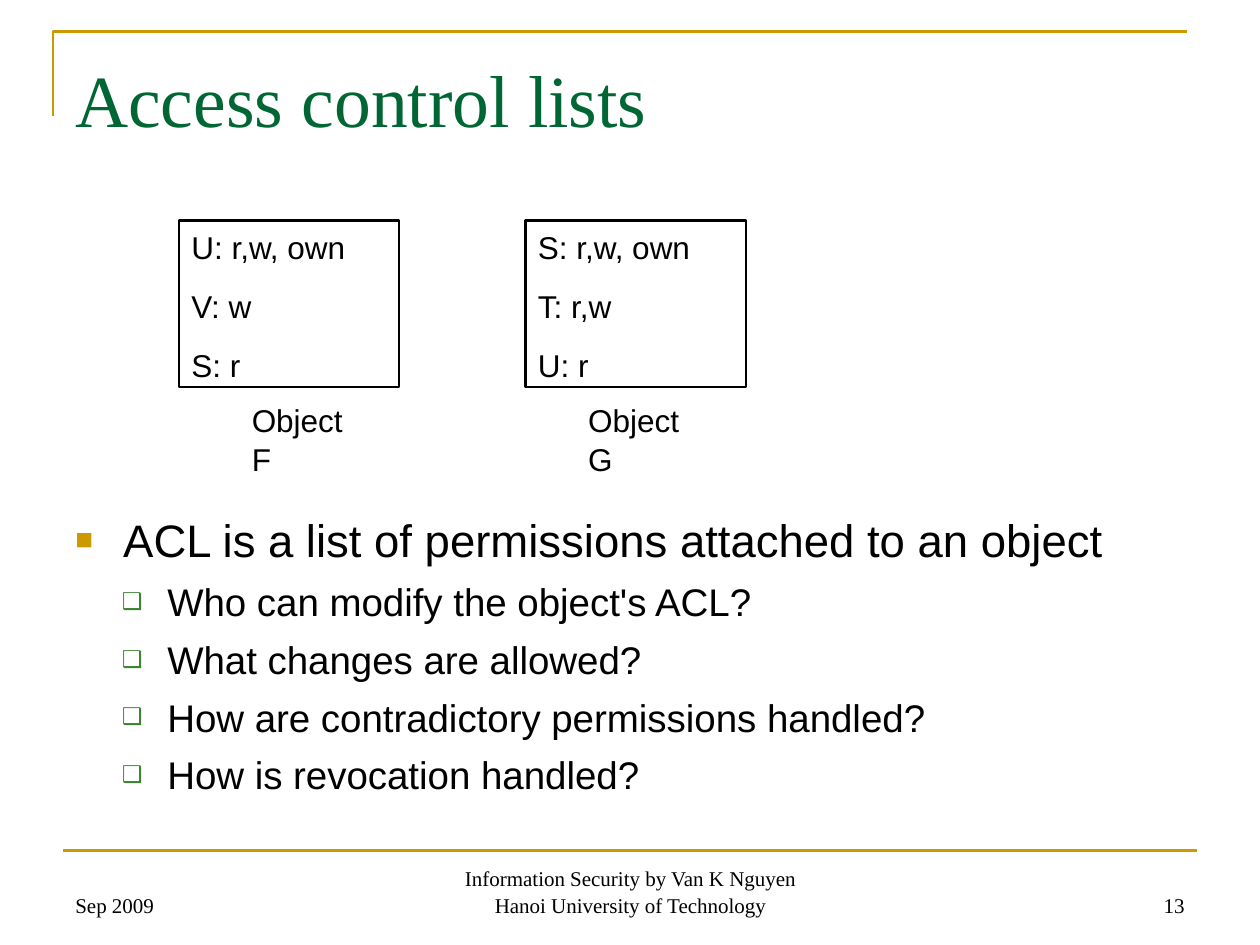
from dataclasses import dataclass
from lxml import etree
from pptx import Presentation
from pptx.dml.color import RGBColor
from pptx.enum import shapes, text
from pptx.oxml.ns import qn
from pptx.util import Inches, Pt


@dataclass(frozen=True)
class Theme:
    ink: str = "000000"
    title: str = "006633"
    rule: str = "CC9900"
    sub_bullet: str = "3B812F"
    serif: str = "Times New Roman"
    sans: str = "Arial"
    title_size: int = 42
    body_size: int = 26
    sub_size: int = 22
    label_size: int = 18
    footer_size: int = 12
    line_spacing: float = 1.04


THEME = Theme()
TITLE = "Access control lists"
ACLS = [
    ("Object F", 1.42, 1.9, 1.14, ["U: r,w, own", "V: w", "S: r"]),
    ("Object G", 4.17, 4.57, 1.18, ["S: r,w, own", "T: r,w", "U: r"]),
]
BODY = [
    (0, "ACL is a list of permissions attached to an object"),
    (1, "Who can modify the object's ACL?"),
    (1, "What changes are allowed?"),
    (1, "How are contradictory permissions handled?"),
    (1, "How is revocation handled?"),
]
LEVELS = [
    dict(char="■", color=THEME.rule, scale=65, margin=0.38, indent=-0.38,
         size=THEME.body_size, before=6.5),
    dict(char="❑", color=THEME.sub_bullet, scale=60, margin=0.73, indent=-0.36,
         size=THEME.sub_size, before=5.5),
]
FOOTERS = [
    ("Sep 2009", 0.5, 2.33, text.PP_ALIGN.LEFT),
    ("Information Security by Van K Nguyen Hanoi University of Technology",
     3.42, 3.17, text.PP_ALIGN.CENTER),
    ("13", 7.17, 2.33, text.PP_ALIGN.RIGHT),
]


def rgb(value):
    return RGBColor.from_string(value)


def fill_text(sp, lines, size, font, color=THEME.ink, align=text.PP_ALIGN.LEFT,
              anchor=text.MSO_ANCHOR.TOP, before=0, wrap=True, grow=False):
    tf = sp.text_frame
    tf.text = "\n".join(lines)
    tf.word_wrap = wrap
    tf.vertical_anchor = anchor
    tf.auto_size = (text.MSO_AUTO_SIZE.SHAPE_TO_FIT_TEXT if grow
                    else text.MSO_AUTO_SIZE.NONE)
    for i, p in enumerate(tf.paragraphs):
        p.alignment = align
        p.line_spacing = THEME.line_spacing
        p.space_before = Pt(before if i else 0)
        for r in p.runs:
            r.font.size = Pt(size)
            r.font.name = font
            r.font.color.rgb = rgb(color)
    return tf


def add_text(s, box, lines, size, font, **options):
    sp = s.shapes.add_textbox(*map(Inches, box))
    return fill_text(sp, lines, size, font, **options)


def set_bullet(p, level):
    pPr = p._p.get_or_add_pPr()
    pPr.set("marL", str(Inches(level["margin"])))
    pPr.set("indent", str(Inches(level["indent"])))
    color = etree.SubElement(pPr, qn("a:buClr"))
    etree.SubElement(color, qn("a:srgbClr"), val=level["color"])
    etree.SubElement(pPr, qn("a:buSzPct"), val=str(level["scale"] * 1000))
    etree.SubElement(pPr, qn("a:buFont"), typeface=THEME.sans)
    etree.SubElement(pPr, qn("a:buChar"), char=level["char"])


def style_rule(line):
    line.color.rgb = rgb(THEME.rule)
    line.width = Pt(1.5)


def add_rules(s):
    builder = s.shapes.build_freeform(Inches(0.42), Inches(0.92))
    builder.add_line_segments(
        [(Inches(0.42), Inches(0.25)), (Inches(9.42), Inches(0.25))], close=False)
    corner = builder.convert_to_shape()
    corner.shadow.inherit = False
    corner.fill.background()
    style_rule(corner.line)
    rule = s.shapes.add_connector(
        shapes.MSO_CONNECTOR.STRAIGHT, *map(Inches, (0.5, 6.75, 9.5, 6.75)))
    etree.SubElement(rule._element.spPr, qn("a:effectLst"))
    style_rule(rule.line)


def add_body(s):
    tf = add_text(s, (0.5, 4, 9, 2.37), [line for _, line in BODY],
                  THEME.sub_size, THEME.sans)
    for i, (p, (depth, _)) in enumerate(zip(tf.paragraphs, BODY)):
        level = LEVELS[depth]
        p.level = depth
        p.space_before = Pt(level["before"] if i else 0)
        set_bullet(p, level)
        p.runs[0].font.size = Pt(level["size"])


def add_acl(s, label, left, label_left, label_width, entries):
    sp = s.shapes.add_shape(shapes.MSO_SHAPE.RECTANGLE,
                            *map(Inches, (left, 1.75, 1.75, 1.32)))
    sp.shadow.inherit = False
    sp.fill.background()
    sp.line.color.rgb = rgb(THEME.ink)
    sp.line.width = Pt(1.25)
    fill_text(sp, entries, THEME.label_size, THEME.sans, before=11.2, grow=True)
    add_text(s, (label_left, 3.12, label_width, 0.4), [label],
             THEME.label_size, THEME.sans, wrap=False, grow=True)


def main():
    prs = Presentation()
    prs.slide_width, prs.slide_height = Inches(10), Inches(7.5)
    s = prs.slides.add_slide(prs.slide_layouts[6])
    add_rules(s)
    for label, left, width, align in FOOTERS:
        add_text(s, (left, 6.83, width, 0.5), [label], THEME.footer_size,
                 THEME.serif, align=align, anchor=text.MSO_ANCHOR.BOTTOM)
    title = add_text(s, (0.5, 0.3, 9, 1.25), [TITLE], THEME.title_size,
                     THEME.serif, color=THEME.title)
    title.margin_top = Inches(0.1)
    add_body(s)
    for acl in ACLS:
        add_acl(s, *acl)
    prs.save("out.pptx")


if __name__ == "__main__":
    main()
